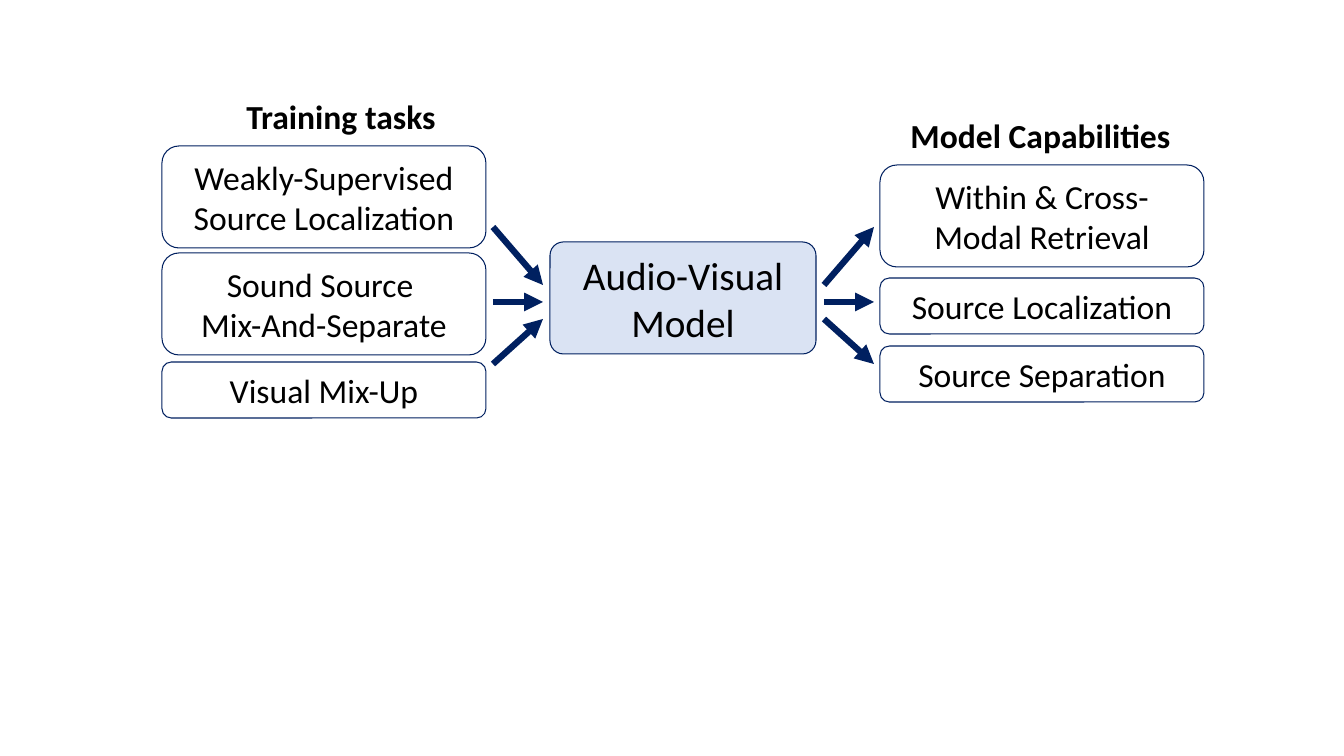
from pptx import Presentation
from pptx import util as u
from pptx.dml.color import RGBColor
from pptx.enum import shapes, text
from pptx.oxml.ns import qn
from lxml import etree

PX = 914400 / 100.8
HUES = {"navy": "002060", "pale": "DAE3F3", "ink": "000000"}
TALL, LOW = 102, 56


def emu(*vals):
    return [u.Emu(round(v * PX)) for v in vals]


def hue(name):
    return RGBColor.from_string(HUES[name])


def write(shape, words, size=24, bold=False, wrap=True, anchor=text.MSO_ANCHOR.MIDDLE):
    frame = shape.text_frame
    frame.word_wrap = wrap
    frame.vertical_anchor = anchor
    frame.text = words
    for para in frame.paragraphs:
        para.alignment = text.PP_ALIGN.CENTER
        font = para.runs[0].font
        font.name, font.size, font.bold = "Calibri", u.Pt(size), bold
        font.color.rgb = hue("ink")


def add_card(slide, box, words, fill=None, round_by=0.1667, **form):
    card = slide.shapes.add_shape(shapes.MSO_SHAPE.ROUNDED_RECTANGLE, *emu(*box))
    card.adjustments[0] = round_by
    card.shadow.inherit = False
    if fill:
        card.fill.solid()
        card.fill.fore_color.rgb = hue(fill)
    else:
        card.fill.background()
    card.line.color.rgb = hue("navy")
    card.line.width = u.Pt(0.75)
    write(card, words, **form)


def add_stack(slide, box, head, head_box, cards):
    left, top, width = box
    label = slide.shapes.add_textbox(*emu(left + head_box[0], top - 55, head_box[1], 50))
    write(label, head, bold=True, wrap=False, anchor=text.MSO_ANCHOR.TOP)
    for down, high, words in cards:
        add_card(slide, (left, top + down, width, high), words)


def add_fan(slide, box, ends):
    left, top, width = box
    for start, end in ends:
        arrow = slide.shapes.add_connector(
            shapes.MSO_CONNECTOR.STRAIGHT,
            *emu(left, top + start, left + width, top + end))
        arrow.line.color.rgb = hue("navy")
        arrow.line.width = u.Pt(4.5)
        line = arrow.line._get_or_add_ln()
        etree.SubElement(line, qn("a:tailEnd"), type="triangle")
        etree.SubElement(arrow._element.spPr, qn("a:effectLst"))


deck = Presentation()
deck.slide_width, deck.slide_height = emu(1344, 756)
slide = deck.slides.add_slide(deck.slide_layouts[6])

add_card(slide, (550, 242, 266, 112), "Audio-Visual\nModel",
         fill="pale", round_by=0.12, size=28)
add_stack(slide, (162, 146, 324), "Training tasks", (73, 212), [
    (0, TALL, "Weakly-Supervised\nSource Localization"),
    (107, TALL, "Sound Source \nMix-And-Separate"),
    (216, LOW, "Visual Mix-Up")])
add_stack(slide, (880, 165, 324), "Model Capabilities", (19, 283), [
    (0, TALL, "Within & Cross-Modal Retrieval"),
    (113, LOW, "Source Localization"),
    (181, LOW, "Source Separation")])

inward = [(0, 58), (75, 75), (137, 92)]
add_fan(slide, (493, 227, 50), inward)
add_fan(slide, (824, 227, 50), [(end, start) for start, end in inward])

deck.save("out.pptx")
